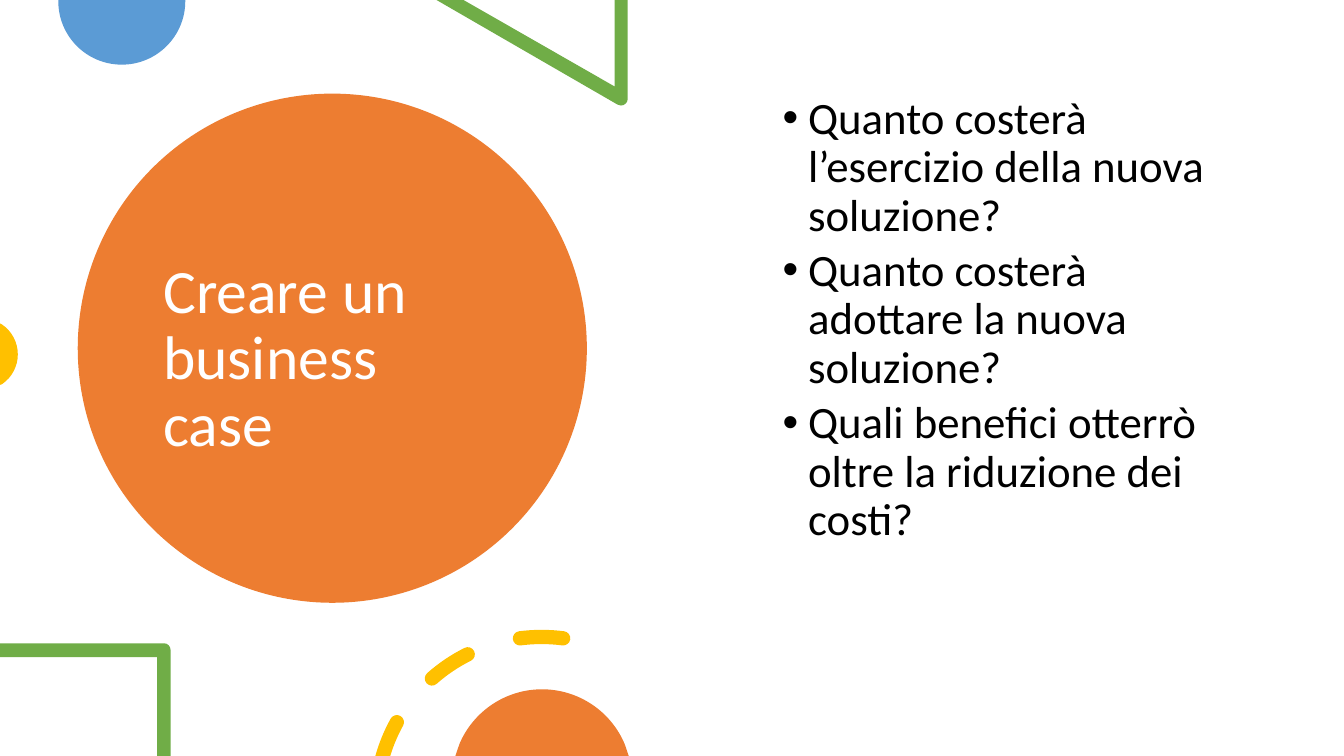
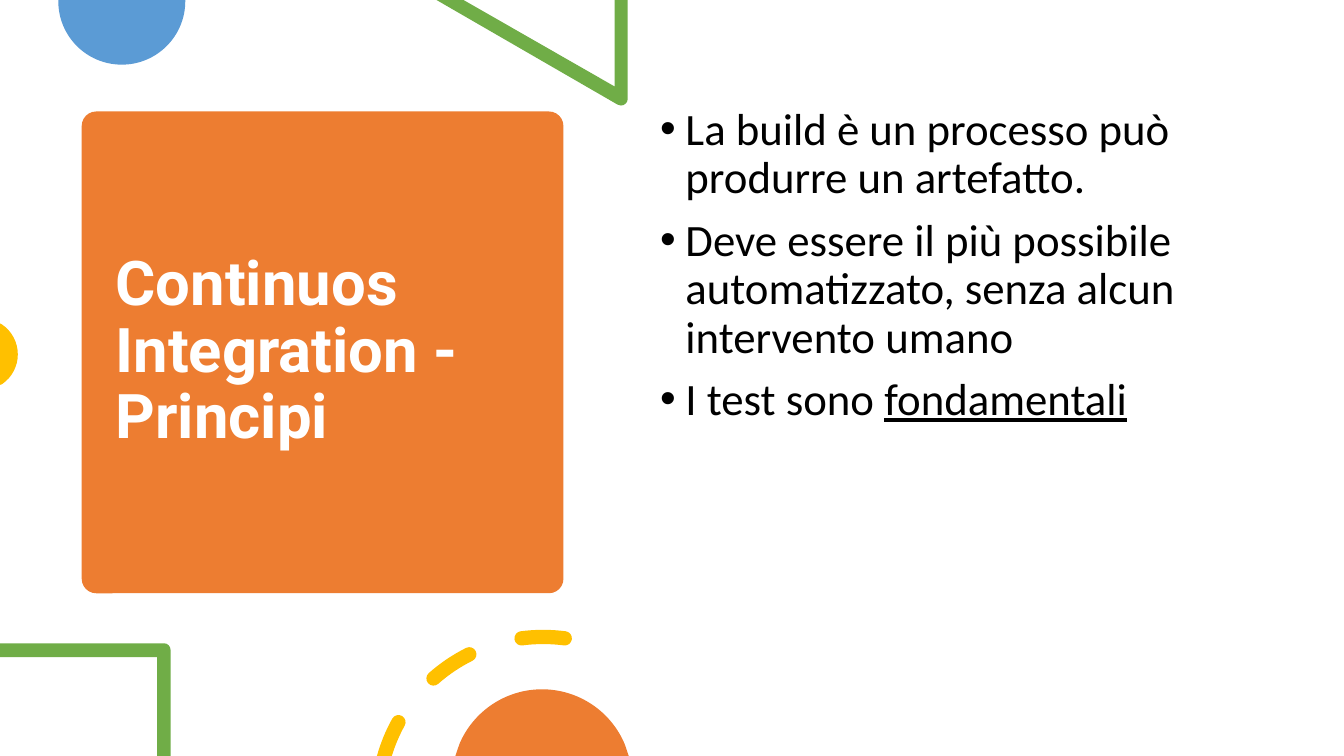
"""Build two Italian slides about a business case and continuous integration."""
from math import acos, cos, degrees, radians, sin, sqrt, tan

from lxml import etree
from pptx import Presentation
from pptx.dml.color import RGBColor
from pptx.enum.shapes import MSO_SHAPE
from pptx.enum.text import MSO_ANCHOR, MSO_AUTO_SIZE, PP_ALIGN
from pptx.oxml.ns import qn
from pptx.util import Cm, Pt

OVAL = MSO_SHAPE.OVAL
ROUNDED = MSO_SHAPE.ROUNDED_RECTANGLE
MIDDLE = MSO_ANCHOR.MIDDLE
TOP = MSO_ANCHOR.TOP
LEFT = PP_ALIGN.LEFT
NO_AUTOFIT = MSO_AUTO_SIZE.NONE

ORANGE, BLUE, GREEN, YELLOW = "ED7D31", "5B9BD5", "70AD47", "FFC000"
WHITE, BLACK = "FFFFFF", "000000"
SLIDE_BOX = (0, 0, 33.87, 19.05)
TITLE_SIZE, BODY_SIZE, LINE_SPACING = 44, 32, 0.9
HANGING = 0.64


def rgb(value):
    """Turn a hex string into a colour."""
    return RGBColor.from_string(value)


def paint(shape, color):
    """Give a shape a flat fill without line or shadow."""
    shape.shadow.inherit = False
    shape.fill.solid()
    shape.fill.fore_color.rgb = rgb(color)
    shape.line.fill.background()


def place(shape, box):
    """Move a shape to a box given in centimetres."""
    shape.left, shape.top, shape.width, shape.height = map(Cm, box)


def format_font(font, name, size, color, bold=False):
    """Set the face, size, colour and weight of a font."""
    font.name = name
    font.size = Pt(size)
    font.color.rgb = rgb(color)
    font.bold = bold


def arc(center_x, center_y, radius, start, end, pieces=1):
    """Return the first point of an arc and its Bézier pieces, clockwise degrees."""
    step = radians(end - start) / pieces
    pull = 4 / 3 * tan(step / 4)

    def at(angle, bend=0):
        return (center_x + radius * (cos(angle) - bend * sin(angle)),
                center_y + radius * (sin(angle) + bend * cos(angle)))

    angles = [radians(start) + step * i for i in range(pieces + 1)]
    curves = [at(a, pull) + at(b, -pull) + at(b) for a, b in zip(angles, angles[1:])]
    return [at(angles[0])] + curves


def add_outline(slide, box, color, *contours):
    """Draw one filled shape from closed contours of points and curves."""
    left, top = box[:2]
    ends = [[(Cm(left + node[-2]), Cm(top + node[-1])) for node in contour]
            for contour in contours]
    builder = slide.shapes.build_freeform(*ends[0][0], scale=1.0)
    for index, vertices in enumerate(ends):
        if index:
            builder.move_to(*vertices[0])
        builder.add_line_segments(vertices[1:], close=True)
    shape = builder.convert_to_shape()
    nodes = [node for contour in contours for node in contour[1:]]
    for segment, node in zip(list(shape.element.iter(qn("a:lnTo"))), nodes):
        if len(node) == 6:
            segment.tag = qn("a:cubicBezTo")
            for position in (0, 1):
                x, y = node[2 * position:2 * position + 2]
                point = etree.Element(qn("a:pt"))
                point.set("x", str(Cm(left + x) - shape.left))
                point.set("y", str(Cm(top + y) - shape.top))
                segment.insert(position, point)
    paint(shape, color)


def add_dashes(slide, box, center_x):
    """Draw the round-ended dashes of the ring cut by the bottom edge."""
    depth, radius, half = 1.17, 4.17, 0.18
    center_y = box[3] + depth
    outer, inner = radius + half, radius - half
    outer_cut, inner_cut = (270 - degrees(acos(depth / r)) for r in (outer, inner))

    def cap(angle, first):
        x, y = arc(center_x, center_y, radius, angle, angle)[0]
        return arc(x, y, half, angle + first, angle + first + 180, 2)[1:]

    def band(start, end, inner_start):
        return (arc(center_x, center_y, outer, start, end) + cap(end, 0)
                + arc(center_x, center_y, inner, end, inner_start)[1:])

    contours = [band(outer_cut, 209, inner_cut)]
    for middle in (236, 270):
        start, end = middle - 7.5, middle + 7.5
        contours.append(band(start, end, start) + cap(start, 180))
    add_outline(slide, box, YELLOW, *contours)


def add_edge_shapes(slide, box):
    """Draw the shapes along the top and left edges."""
    half_disc = arc(3.07, 0.03, 1.6, 0, 180, 2) + [(1.47, 0), (4.67, 0)]
    add_outline(slide, box, BLUE, half_disc)
    triangle = [(15.82, 0), (15.49, 0), (15.49, 2.18), (11.68, 0), (11, 0)]
    tip = arc(15.65, 2.49, 0.17, 120, 90) + arc(15.65, 2.49, 0.17, 90, 0)[1:]
    add_outline(slide, box, GREEN, triangle + tip)
    segment = arc(-0.46, 8.93, 0.91, -56, 56, 2)
    add_outline(slide, box, YELLOW, segment + [(0, 9.7), (0, 8.15)])


def add_bottom_shapes(slide, box, dash_center):
    """Draw the frame, the dashes and the disc cut by the bottom edge."""
    bottom = box[3]
    frame_top = bottom - 2.84
    frame = [(4.3, bottom), (3.96, bottom), (3.96, frame_top + 0.35),
             (0, frame_top + 0.35), (0, frame_top)]
    corner = arc(4.13, frame_top + 0.17, 0.17, -90, 0)
    add_outline(slide, box, GREEN, frame + corner)
    add_dashes(slide, box, dash_center)
    center_x, depth, radius, spread = 13.66, 0.58, 2.26, 67
    half_chord = sqrt(radius ** 2 - depth ** 2)
    disc = arc(center_x, bottom + depth, radius, 270 - spread, 270 + spread, 2)
    base = [(center_x + side * half_chord, bottom) for side in (1, -1)]
    add_outline(slide, box, ORANGE, disc + base)


def add_title_card(slide, box, kind, text, inset, font_name, bold):
    """Put the title over an orange card, inset from its four sides."""
    left, top, width, height = box
    card = slide.shapes.add_shape(kind, *map(Cm, box))
    if kind == ROUNDED:
        card.adjustments[0] = 0.03
    paint(card, ORANGE)
    title = slide.shapes.title
    title.element.addprevious(card.element)
    before_x, before_y, after_x, after_y = inset
    place(title, (left + before_x, top + before_y,
                  width - before_x - after_x, height - before_y - after_y))
    frame = title.text_frame
    frame.text = text
    frame.word_wrap = True
    frame.auto_size = NO_AUTOFIT
    frame.vertical_anchor = MIDDLE
    paragraph = frame.paragraphs[0]
    paragraph.alignment = LEFT
    paragraph.line_spacing = LINE_SPACING
    for run in paragraph.runs:
        format_font(run.font, font_name, TITLE_SIZE, WHITE, bold)


def add_bullet(paragraph, margin):
    """Give a paragraph a hanging round bullet."""
    properties = paragraph._p.get_or_add_pPr()
    properties.set("marL", str(Cm(margin)))
    properties.set("indent", str(-Cm(HANGING)))
    etree.SubElement(properties, qn("a:buFont")).set("typeface", "Arial")
    etree.SubElement(properties, qn("a:buChar")).set("char", "•")


def add_bullets(slide, box, items, level, margin, gap):
    """Fill the body placeholder with (plain, underlined) items."""
    body = slide.placeholders[1]
    place(body, box)
    frame = body.text_frame
    frame.word_wrap = True
    frame.auto_size = NO_AUTOFIT
    frame.vertical_anchor = TOP
    for index, (plain, underlined) in enumerate(items):
        paragraph = frame.paragraphs[0] if index == 0 else frame.add_paragraph()
        paragraph.text = plain
        if underlined:
            run = paragraph.add_run()
            run.text = underlined
            run.font.underline = True
        paragraph.level = level
        add_bullet(paragraph, margin)
        paragraph.alignment = LEFT
        paragraph.line_spacing = LINE_SPACING
        paragraph.space_before = Pt(gap if index else 0)
        for run in paragraph.runs:
            format_font(run.font, "Calibri", BODY_SIZE, BLACK)


def add_slide(presentation, card, bullets, dash_center):
    """Add one slide with its title card, ornaments and list."""
    slide = presentation.slides.add_slide(presentation.slide_layouts[1])
    add_title_card(slide, **card)
    add_edge_shapes(slide, SLIDE_BOX)
    add_bullets(slide, **bullets)
    slide.shapes.title.element.addnext(slide.placeholders[1].element)
    add_bottom_shapes(slide, SLIDE_BOX, dash_center)


def main():
    """Build and save the presentation."""
    presentation = Presentation()
    presentation.slide_width, presentation.slide_height = map(Cm, SLIDE_BOX[2:])
    add_slide(
        presentation,
        card=dict(box=(1.96, 2.36, 12.83, 12.83), kind=OVAL,
                  text="Creare un \vbusiness case",
                  inset=(1.9, 1.06, 1.94, 0.47), font_name="Calibri", bold=False),
        bullets=dict(
            box=(16.93, 2.28, 14.6, 13.59), level=2, margin=3.18, gap=5,
            items=[
                ("Quanto costerà l’esercizio della nuova soluzione?", ""),
                ("Quanto costerà adottare la nuova soluzione?", ""),
                ("Quali benefici otterrò oltre la riduzione dei costi?", ""),
            ]),
        dash_center=13.65)
    add_slide(
        presentation,
        card=dict(box=(2.06, 2.81, 12.14, 12.14), kind=ROUNDED,
                  text="Continuos Integration - Principi",
                  inset=(0.6, 0.28, 0.6, 0.28), font_name="Roboto", bold=True),
        bullets=dict(
            box=(16.38, 2.56, 14.6, 13.59), level=0, margin=HANGING, gap=10,
            items=[
                ("La build è un processo può produrre un artefatto.", ""),
                ("Deve essere il più possibile automatizzato, "
                 "senza alcun intervento umano", ""),
                ("I test sono ", "fondamentali"),
            ]),
        dash_center=13.69)
    presentation.save("out.pptx")


if __name__ == "__main__":
    main()
